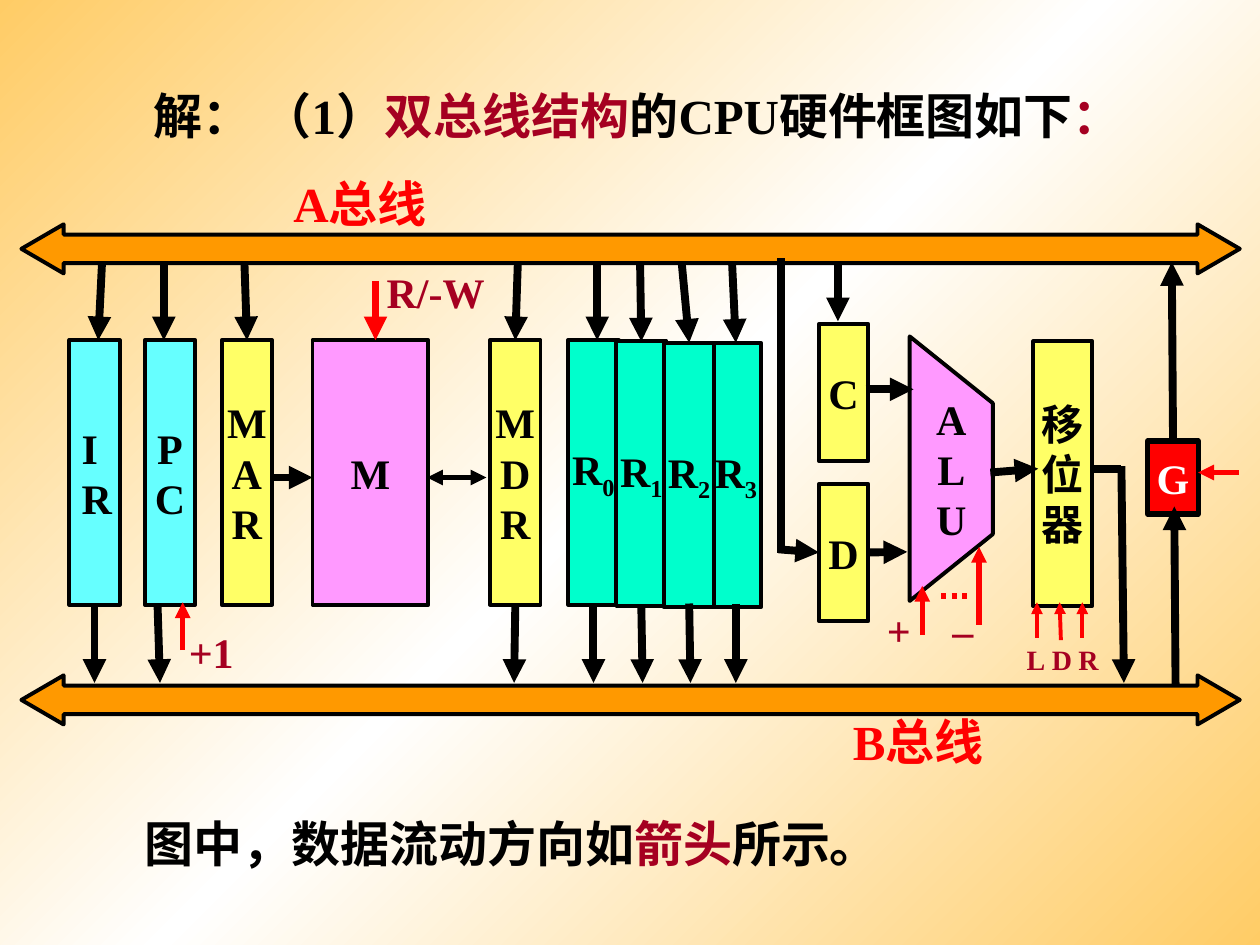
"""Builds a slide with the block diagram of a dual-bus CPU."""
from lxml import etree
from pptx import Presentation
from pptx.dml.color import RGBColor
from pptx.enum.dml import MSO_LINE
from pptx.enum.shapes import MSO_CONNECTOR, MSO_SHAPE
from pptx.enum.text import MSO_ANCHOR, PP_ALIGN
from pptx.oxml import parse_xml
from pptx.oxml.ns import qn
from pptx.util import Inches, Pt

RECTANGLE, BUS_ARROW = MSO_SHAPE.RECTANGLE, MSO_SHAPE.LEFT_RIGHT_ARROW
STRAIGHT, DOTTED = MSO_CONNECTOR.STRAIGHT, MSO_LINE.ROUND_DOT
LEFT, CENTER, MIDDLE = PP_ALIGN.LEFT, PP_ALIGN.CENTER, MSO_ANCHOR.MIDDLE

FONT = "Times New Roman"
BLACK, WHITE, RED, CRIMSON = "000000", "FFFFFF", "FF0000", "A50021"
CYAN, YELLOW, PINK, GREEN, ORANGE = "66FFFF", "FFFF66", "FF99FF", "00FFCC", "FF9900"
BACKGROUND = [(0, "FFCC66"), (50, WHITE), (100, "FFCC66")]

TITLE = [("解： （1）", BLACK), ("双总线结构", CRIMSON),
         ("的CPU硬件框图如下", BLACK), ("：", CRIMSON)]
NOTE = [("图中，数据流动方向如", BLACK), ("箭头", CRIMSON), ("所示。", BLACK)]

BUS_TOPS = [1.78, 5.36]
UNITS = [
    ("IR", 0.55, 2.7, 0.4, 2.1, CYAN),
    ("PC", 1.15, 2.7, 0.4, 2.1, CYAN),
    ("MAR", 1.76, 2.7, 0.4, 2.1, YELLOW),
    ("M", 2.48, 2.7, 0.92, 2.1, PINK),
    ("MDR", 3.89, 2.7, 0.4, 2.1, YELLOW),
    ("C", 6.5, 2.57, 0.39, 1.09, YELLOW),
    ("D", 6.5, 3.84, 0.39, 1.09, YELLOW),
    ("移位器", 8.2, 2.71, 0.47, 2.1, YELLOW),
    ("G", 9.11, 3.5, 0.4, 0.58, RED),
]
REGISTERS = [("0", 4.51, 2.7), ("3", 5.64, 2.72), ("1", 4.89, 2.71), ("2", 5.27, 2.72)]
ALU_OUTLINE = [(7.22, 4.77), (7.22, 2.67), (7.88, 3.2), (7.88, 4.24)]

FROM_BUS_A = [(0.81, 0.78), (1.3, 1.3), (1.94, 1.98), (4.11, 4.08), (4.74, 4.74),
              (5.08, 5.11), (5.41, 5.45), (5.81, 5.83)]
TO_BUS_B = [(0.73, 0.75), (1.25, 1.27), (4.08, 4.08), (4.69, 4.71), (5.1, 5.1),
            (5.47, 5.48), (5.84, 5.84)]
DATA_ARROWS = [(start, 2.08, end, 2.7) for start, end in FROM_BUS_A]
DATA_ARROWS += [(start, 4.79, end, 5.42) for start, end in TO_BUS_B]
DATA_ARROWS += [
    (2.15, 3.79, 2.48, 3.79), (6.65, 2.08, 6.65, 2.55), (6.87, 3.09, 7.25, 3.09),
    (6.89, 4.38, 7.2, 4.38), (7.86, 3.75, 8.24, 3.72), (8.9, 3.7, 8.92, 5.42),
    (6.18, 4.36, 6.5, 4.38), (9.33, 5.43, 9.32, 4.02), (9.3, 3.5, 9.3, 2.08),
]
DATA_LINES = [(8.68, 3.72, 8.9, 3.72), (6.2, 2.05, 6.2, 4.39)]
MEMORY_LINK = [(3.39, 3.79, 3.86, 3.79)]
READ_WRITE = [(2.98, 2.23, 2.98, 2.7)]
CONTROL_ARROWS = [(7.32, 5.04, 7.32, 4.65), (7.77, 4.96, 7.77, 4.34),
                  (1.45, 5.16, 1.45, 4.78), (9.83, 3.75, 9.51, 3.75)]
SHIFT_ARROWS = [(8.23, 5.06, 8.23, 4.78), (8.42, 5.08, 8.41, 4.78), (8.59, 5.06, 8.59, 4.78)]
ELLIPSIS = [(7.47, 4.73, 7.7, 4.73)]
WIRES = [
    (DATA_ARROWS, BLACK, 4.5, ["tailEnd"]),
    (DATA_LINES, BLACK, 4.5, []),
    (MEMORY_LINK, BLACK, 3, ["headEnd", "tailEnd"]),
    (READ_WRITE, RED, 4.5, ["tailEnd"]),
    (CONTROL_ARROWS, RED, 3, ["tailEnd"]),
    (SHIFT_ARROWS, RED, 2.25, ["tailEnd"]),
    (ELLIPSIS, RED, 3, []),
]
LABELS = [
    ("A总线", 2.23, 1.33, 1.43, 0.57, 28, RED),
    ("B总线", 6.67, 5.6, 1.4, 0.57, 28, RED),
    ("R/-W", 2.97, 2.07, 1.05, 0.5, 24, CRIMSON),
    ("+1", 1.4, 4.92, 0.65, 0.5, 24, CRIMSON),
    ("+", 6.94, 4.75, 0.4, 0.5, 24, CRIMSON),
    ("–", 7.46, 4.75, 0.4, 0.5, 24, CRIMSON),
    ("L", 8.05, 5.05, 0.35, 0.37, 16, CRIMSON),
    ("D", 8.25, 5.05, 0.36, 0.37, 16, CRIMSON),
    ("R", 8.46, 5.05, 0.36, 0.37, 16, CRIMSON),
]
JOIN_DISTANCE = Inches(0.02)


def rgb(value):
    return RGBColor.from_string(value)


def set_font(paragraph, size, color=None, align=LEFT):
    font = paragraph.font
    font.name, font.size, font.bold = FONT, Pt(size), True
    if color:
        font.color.rgb = rgb(color)
    paragraph.alignment = align


def write_sentence(box, parts):
    frame = box.text_frame
    frame.word_wrap = True
    frame.margin_left = Inches(0.8)
    paragraph = frame.paragraphs[0]
    set_font(paragraph, 28)
    for text, color in parts:
        run = paragraph.add_run()
        run.text = text
        run.font.color.rgb = rgb(color)


def paint(shape, fill, width=2.25):
    shape.shadow.inherit = False
    shape.fill.solid()
    shape.fill.fore_color.rgb = rgb(fill)
    shape.line.color.rgb = rgb(BLACK)
    shape.line.width = Pt(width)


def write_down(shape, letters, color=BLACK, align=CENTER):
    frame = shape.text_frame
    frame.word_wrap = False
    frame.vertical_anchor = MIDDLE
    frame.text = "\n".join(letters)
    for paragraph in frame.paragraphs:
        set_font(paragraph, 24, color, align)


def add_block(shapes, kind, box, fill, width=2.25):
    block = shapes.add_shape(kind, *map(Inches, box))
    paint(block, fill, width)
    return block


def find_side(blocks, x, y):
    for block in blocks:
        left, top, width, height = block.left, block.top, block.width, block.height
        sides = [(left + width / 2, top), (left, top + height / 2),
                 (left + width / 2, top + height), (left + width, top + height / 2)]
        for index, (side_x, side_y) in enumerate(sides):
            if max(abs(side_x - x), abs(side_y - y)) <= JOIN_DISTANCE:
                return block, index
    return None


def add_wire(shapes, blocks, points, color, width, ends):
    x1, y1, x2, y2 = map(Inches, points)
    wire = shapes.add_connector(STRAIGHT, x1, y1, x2, y2)
    start, finish = find_side(blocks, x1, y1), find_side(blocks, x2, y2)
    if start:
        wire.begin_connect(*start)
    if finish:
        wire.end_connect(*finish)
    wire.line.color.rgb = rgb(color)
    wire.line.width = Pt(width)
    if points in ELLIPSIS:
        wire.line.dash_style = DOTTED
    for end in ends:
        etree.SubElement(wire.line._get_or_add_ln(), qn("a:" + end), type="triangle")
    etree.SubElement(wire._element.spPr, qn("a:effectLst"))


def set_background(slide):
    fill = slide.background.fill
    fill.gradient()
    fill.gradient_angle = 135
    stop_list = fill._fill._gradFill.find(qn("a:gsLst"))
    for stop in list(stop_list):
        stop_list.remove(stop)
    namespace = "http://schemas.openxmlformats.org/drawingml/2006/main"
    for position, color in BACKGROUND:
        stop_list.append(parse_xml(
            f'<a:gs xmlns:a="{namespace}" pos="{position * 1000}"><a:srgbClr val="{color}"/></a:gs>'))


def main():
    deck = Presentation()
    deck.slide_width, deck.slide_height = Inches(10), Inches(7.5)
    slide = deck.slides.add_slide(deck.slide_layouts[5])
    shapes = slide.shapes
    set_background(slide)

    title = shapes.title
    title.left, title.top, title.width, title.height = map(Inches, (0.42, 0.5, 9.17, 0.83))
    title.text_frame.vertical_anchor = MIDDLE
    write_sentence(title, TITLE)
    write_sentence(shapes.add_textbox(*map(Inches, (0.35, 6.41, 9.21, 0.57))), NOTE)

    for top in BUS_TOPS:
        bus = add_block(shapes, BUS_ARROW, (0.17, top, 9.67, 0.39), ORANGE)
        bus.adjustments[0], bus.adjustments[1] = 0.58, 0.86

    blocks = []
    for name, *box, fill in UNITS:
        gate = name == "G"
        unit = add_block(shapes, RECTANGLE, box, fill, 3 if gate else 2.25)
        write_down(unit, name, WHITE if gate else BLACK, LEFT if name == "IR" else CENTER)
        blocks.append(unit)
    for number, left, top in REGISTERS:
        register = add_block(shapes, RECTANGLE, (left, top, 0.4, 2.1), GREEN)
        write_down(register, "R")
        subscript = register.text_frame.paragraphs[0].add_run()
        subscript.text = number
        subscript._r.get_or_add_rPr().set("baseline", "-25000")
        blocks.append(register)

    corners = [(Inches(x), Inches(y)) for x, y in ALU_OUTLINE]
    outline = shapes.build_freeform(*corners[0])
    outline.add_line_segments(corners[1:], close=True)
    alu = outline.convert_to_shape()
    paint(alu, PINK)
    write_down(alu, "ALU")

    for wires, color, width, ends in WIRES:
        for points in wires:
            add_wire(shapes, blocks, points, color, width, ends)
    for text, *box, size, color in LABELS:
        label = shapes.add_textbox(*map(Inches, box)).text_frame
        label.word_wrap = False
        label.text = text
        set_font(label.paragraphs[0], size, color)
    deck.save("out.pptx")


if __name__ == "__main__":
    main()
